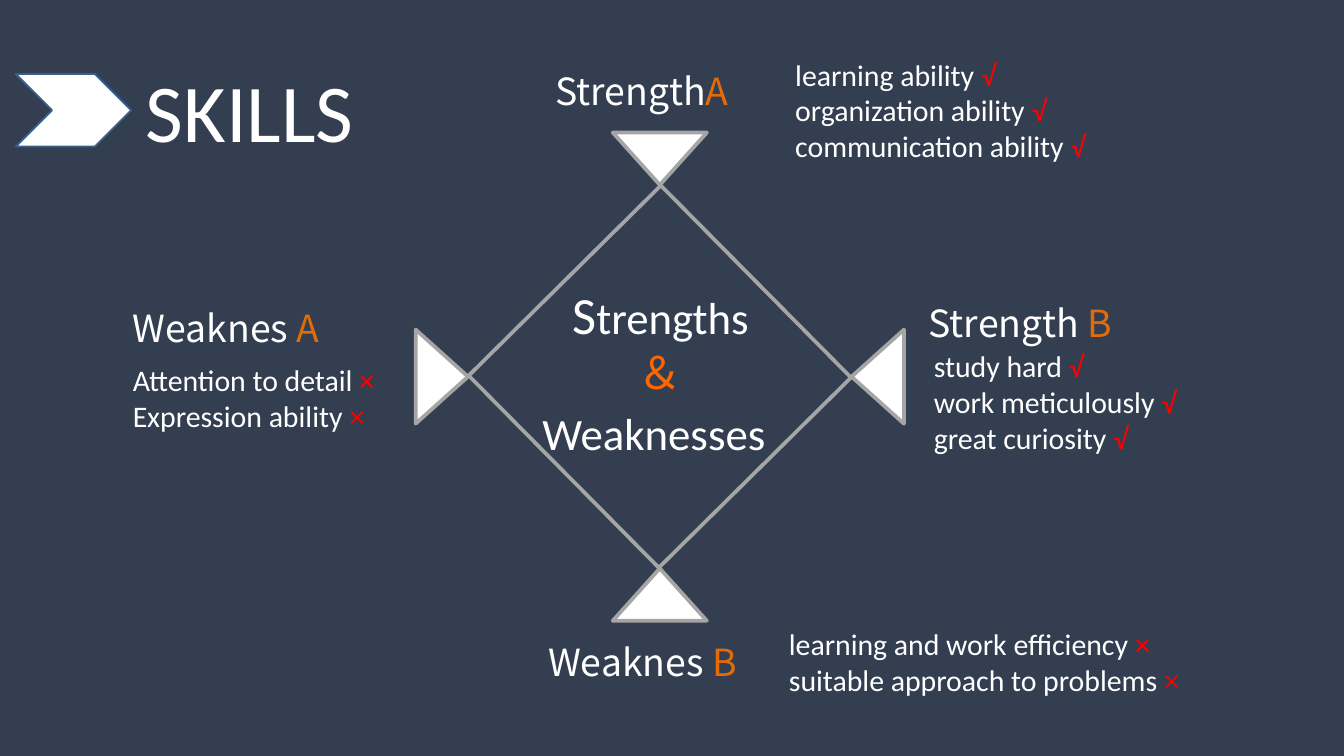
from pptx import Presentation
from pptx.dml.color import RGBColor
from pptx.enum.shapes import MSO_SHAPE as Kind
from pptx.enum.text import PP_ALIGN as Align
from pptx.util import Cm, Pt

WHITE, NAVY, GREY, BLUE = "FFFFFF", "333E50", "A5A5A5", "3A5F8C"
AMBER, FLAME, RED = "E36C09", "FF6600", "FF0000"
BODY, HEAD = "Calibri", "Noto Sans CJK SC"


def tint(code):
    return RGBColor.from_string(code)


class Deck:
    """Holds the style and the current slide."""

    def __init__(self, wide, high):
        self.show = Presentation()
        self.show.slide_width, self.show.slide_height = Cm(wide), Cm(high)
        self.slide = self.show.slides.add_slide(self.show.slide_layouts[6])
        back = self.slide.background.fill
        back.solid()
        back.fore_color.rgb = tint(NAVY)

    def shape(self, kind, box, fill=WHITE, line=GREY, width=2, turn=0):
        item = self.slide.shapes.add_shape(kind, *map(Cm, box))
        item.shadow.inherit = False
        item.fill.solid()
        item.fill.fore_color.rgb = tint(fill)
        item.line.color.rgb = tint(line)
        item.line.width = Pt(width)
        item.rotation = turn

    def text(self, box, rows, size, font=BODY, align=Align.LEFT):
        frame = self.slide.shapes.add_textbox(*map(Cm, box)).text_frame
        frame.word_wrap = True
        for i, row in enumerate(rows):
            para = frame.add_paragraph() if i else frame.paragraphs[0]
            para.alignment = align
            para.font.name, para.font.size = font, Pt(size)
            for words, code, *own in row:
                run = para.add_run()
                run.text = words
                run.font.color.rgb = tint(code)
                if own:
                    run.font.size = Pt(own[0])
        return frame

    def head(self, left, top, wide, word, mark):
        row = [(word, WHITE), (mark, AMBER)]
        self.text((left, top, wide, 1.17), [row], 20, HEAD)

    def items(self, box, lines, mark):
        rows = [[(f"{line} ", WHITE), (mark, RED)] for line in lines]
        self.text(box, rows, 16)


def main():
    deck = Deck(25.4, 14.29)
    mid_x, mid_y, reach = 12.47, 7.12, 4.12
    side, base, rise = 5.11, 1.78, 0.99

    deck.shape(Kind.RECTANGLE, (mid_x - side / 2, mid_y - side / 2, side, side),
               fill=NAVY, turn=45.3)
    for dx, dy, turn in [(0, -1, 180), (1, 0, 270), (-1, 0, 90), (0, 1, 0)]:
        left = mid_x + dx * reach - base / 2
        top = mid_y + dy * reach - rise / 2
        deck.shape(Kind.ISOSCELES_TRIANGLE, (left, top, base, rise), turn=turn)

    core = deck.text((9.83, 5.21, 5.28, 3.66), [
        [(" S", WHITE, 28), ("trengths ", WHITE)],
        [("＆", FLAME)],
        [("Weaknesses", WHITE), (" ", WHITE, 28)],
    ], 24, align=Align.CENTER)
    core.paragraphs[1].font.name = HEAD
    core.paragraphs[1].font.size = Pt(24)

    deck.head(2.26, 5.64, 4.67, "Weaknes ", "A")
    deck.head(17.3, 5.54, 4.39, "Strength ", "B")
    deck.head(10.11, 11.96, 4.75, "Weaknes ", "B")
    deck.head(10.24, 1.17, 4.47, "Strength", "A")

    deck.items((14.78, 0.94, 7.9, 2.29),
               ["learning ability", "organization ability",
                "communication ability"], "√")
    deck.items((17.4, 6.45, 7.65, 2.97),
               ["study hard", "work meticulously", "great curiosity"], "√")
    deck.items((2.26, 6.71, 7.65, 2.29),
               ["Attention to detail", "Expression ability"], "×")
    deck.items((14.66, 11.71, 8.33, 1.63),
               ["learning and work efficiency",
                "suitable approach to problems"], "×")

    deck.text((2.51, 1.02, 5.59, 2.13), [[("SKILLS", WHITE)]], 44)
    deck.shape(Kind.CHEVRON, (0.3, 1.4, 2.18, 1.37), line=BLUE, width=1)
    deck.show.save("out.pptx")


if __name__ == "__main__":
    main()
